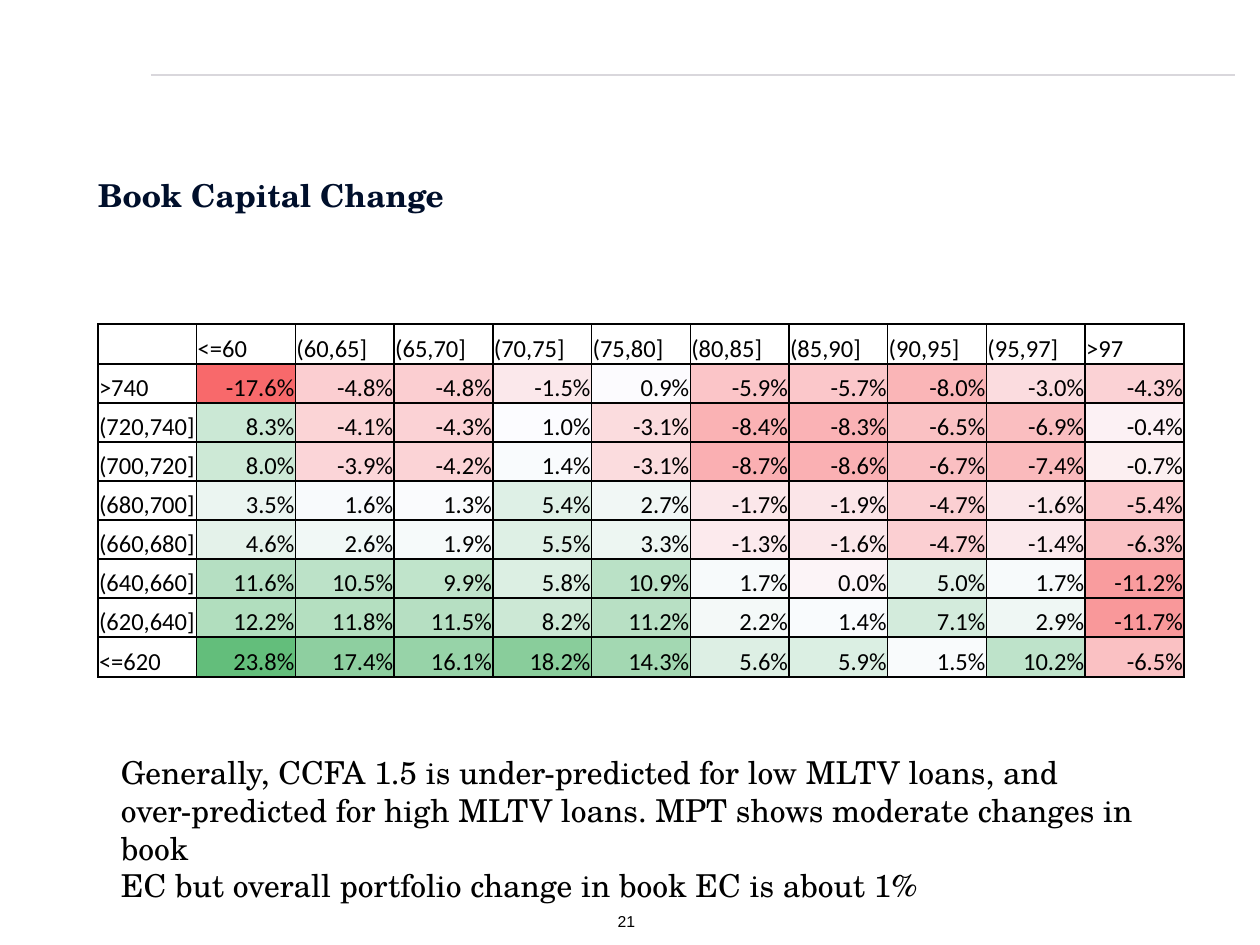
from lxml import etree
from pptx import Presentation, util as u
from pptx.dml.color import RGBColor
from pptx.enum import shapes, text
from pptx.oxml.ns import qn

PX = 914400 / 126
HUE = {"ink": "000000", "title": "000F2B", "rule": "D9D7DC", "white": "FFFFFF",
       "low": "F8696B", "mid": "FCFCFF", "high": "63BE7B"}
LOW, MID, HIGH = -17.6, 1.0, 23.8
SERIF = "TeX Gyre Schola"
LEFT, RIGHT, CENTER = text.PP_ALIGN.LEFT, text.PP_ALIGN.RIGHT, text.PP_ALIGN.CENTER

HEADS = ["<=60", "(60,65]", "(65,70]", "(70,75]", "(75,80]", "(80,85]",
         "(85,90]", "(90,95]", "(95,97]", ">97"]
ROWS = {
    ">740": [-17.6, -4.8, -4.8, -1.5, 0.9, -5.9, -5.7, -8.0, -3.0, -4.3],
    "(720,740]": [8.3, -4.1, -4.3, 1.0, -3.1, -8.4, -8.3, -6.5, -6.9, -0.4],
    "(700,720]": [8.0, -3.9, -4.2, 1.4, -3.1, -8.7, -8.6, -6.7, -7.4, -0.7],
    "(680,700]": [3.5, 1.6, 1.3, 5.4, 2.7, -1.7, -1.9, -4.7, -1.6, -5.4],
    "(660,680]": [4.6, 2.6, 1.9, 5.5, 3.3, -1.3, -1.6, -4.7, -1.4, -6.3],
    "(640,660]": [11.6, 10.5, 9.9, 5.8, 10.9, 1.7, 0.0, 5.0, 1.7, -11.2],
    "(620,640]": [12.2, 11.8, 11.5, 8.2, 11.2, 2.2, 1.4, 7.1, 2.9, -11.7],
    "<=620": [23.8, 17.4, 16.1, 18.2, 14.3, 5.6, 5.9, 1.5, 10.2, -6.5],
}
NOTE = ["Generally, CCFA 1.5 is under-predicted for low MLTV loans, and",
        "over-predicted for high MLTV loans. MPT shows moderate changes in book",
        "EC but overall portfolio change in book EC is about 1%"]


def px(n):
    return u.Emu(round(n * PX))


def rgb(name):
    return RGBColor.from_string(HUE[name])


def put(obj, vals):
    for key, val in vals.items():
        setattr(obj, key, val)


def pads(*sides):
    names = ("margin_left", "margin_top", "margin_right", "margin_bottom")
    return dict(zip(names, map(px, sides)))


def write(frame, lines, font, hue="ink", align=LEFT):
    for i, line in enumerate(lines):
        par = frame.paragraphs[0] if i == 0 else frame.add_paragraph()
        par.alignment = align
        run = par.add_run()
        run.text = line
        put(run.font, font)
        run.font.color.rgb = rgb(hue)


def scale(val):
    end, name = (LOW, "low") if val < MID else (HIGH, "high")
    part = (val - MID) / (end - MID)
    return RGBColor(*(round(a + (b - a) * part)
                      for a, b in zip(rgb("mid"), rgb(name))))


def edge(cell):
    props = cell._tc.get_or_add_tcPr()
    for i, tag in enumerate(("a:lnL", "a:lnR", "a:lnT", "a:lnB")):
        line = etree.Element(qn(tag), w=str(u.Pt(1)))
        fill = etree.SubElement(line, qn("a:solidFill"))
        etree.SubElement(fill, qn("a:srgbClr"), val=HUE["ink"])
        props.insert(i, line)


def rule(slide, x, y, w):
    line = slide.shapes.add_connector(
        shapes.MSO_CONNECTOR.STRAIGHT, px(x), px(y), px(x + w), px(y))
    line.line.color.rgb = rgb("rule")
    line.line.width = u.Pt(1.5)
    etree.SubElement(line._element.spPr, qn("a:effectLst"))


def title(slide, x, y, w, h):
    head = slide.shapes.title
    put(head, {"left": px(x), "top": px(y), "width": px(w), "height": px(h)})
    put(head.text_frame, {
        "auto_size": text.MSO_AUTO_SIZE.NONE, "word_wrap": True,
        "vertical_anchor": text.MSO_ANCHOR.MIDDLE, **pads(0, 6, 13, 6)})
    write(head.text_frame, ["Book Capital Change"],
          {"name": SERIF, "size": u.Pt(18), "bold": True}, "title")
    head.text_frame.paragraphs[0].line_spacing = 0.9


def grid(slide, x, y, w, h):
    rows = [["", *HEADS]] + [[name, *vals] for name, vals in ROWS.items()]
    table = slide.shapes.add_table(
        len(rows), len(rows[0]), px(x), px(y), px(w), px(h)).table
    put(table, {"first_row": False, "horz_banding": False})
    for col in table.columns:
        col.width = px(w / len(rows[0]))
    for i, row in enumerate(rows):
        table.rows[i].height = px(40 if i in (0, len(rows) - 1) else 39)
        for j, val in enumerate(row):
            cell = table.cell(i, j)
            put(cell, {"vertical_anchor": text.MSO_ANCHOR.BOTTOM, **pads(1, 1, 1, 0)})
            num = isinstance(val, float)
            cell.fill.solid()
            cell.fill.fore_color.rgb = scale(val) if num else rgb("white")
            edge(cell)
            if val != "":
                write(cell.text_frame, [f"{val:.1f}%" if num else val],
                      {"name": "Calibri", "size": u.Pt(14)},
                      align=RIGHT if num else LEFT)


def label(slide, x, y, w, h, lines, font, align, pad):
    frame = slide.shapes.add_textbox(px(x), px(y), px(w), px(h)).text_frame
    put(frame, {"word_wrap": True, **pads(*pad)})
    write(frame, lines, font, align=align)


def main():
    deck = Presentation()
    put(deck, {"slide_width": px(1260), "slide_height": px(945)})
    slide = deck.slides.add_slide(deck.slide_layouts[5])
    rule(slide, 151, 75, 1084)
    title(slide, 98, 175, 1135, 44)
    grid(slide, 98, 324, 1086, 353)
    label(slide, 108, 747, 1086, 165, NOTE,
          {"name": SERIF, "size": u.Pt(18)}, LEFT, (13, 6, 13, 6))
    label(slide, 570, 907, 113, 29, ["21"],
          {"name": "Arial", "size": u.Pt(9)}, CENTER, (9, 5, 9, 5))
    deck.save("out.pptx")


if __name__ == "__main__":
    main()
